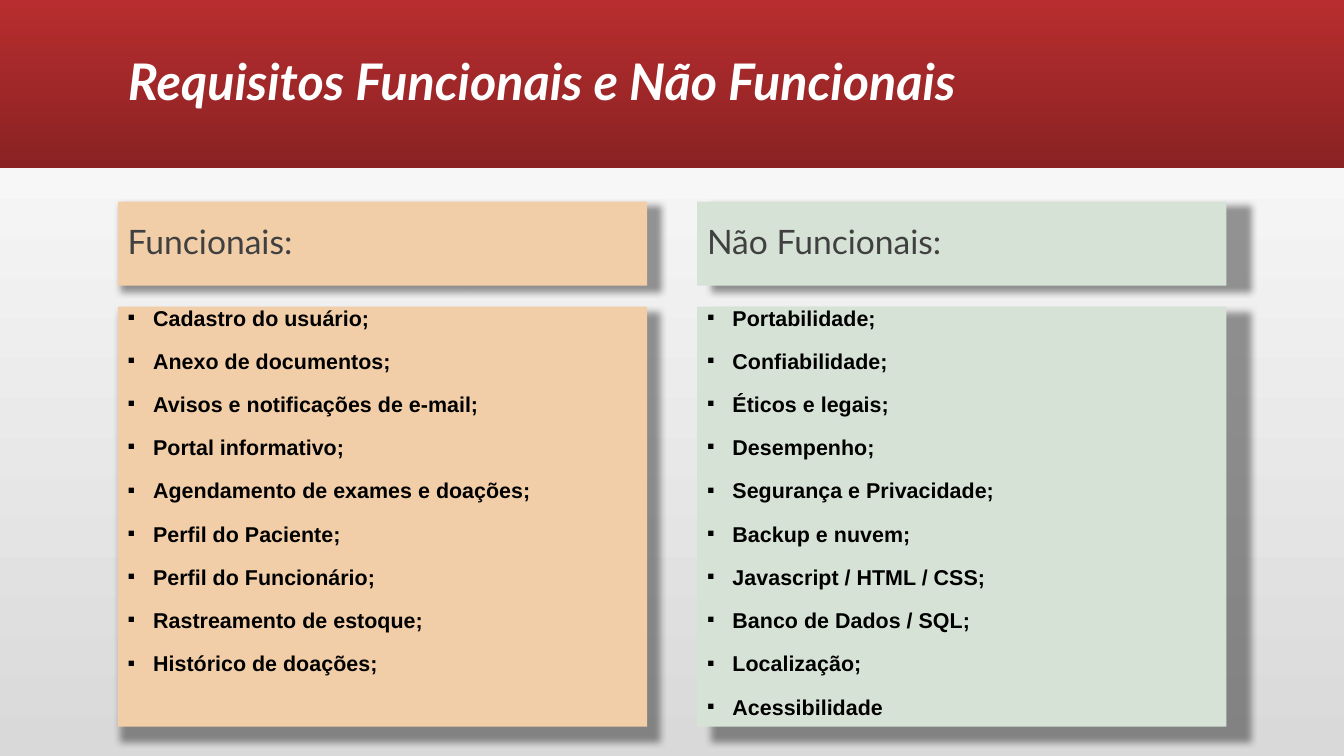
from math import atan2, degrees, hypot

from lxml import etree
from pptx import Presentation
from pptx.dml.color import RGBColor
from pptx.enum.shapes import MSO_SHAPE
from pptx.enum.text import MSO_ANCHOR, MSO_AUTO_SIZE, PP_ALIGN
from pptx.oxml.ns import qn
from pptx.util import Cm, Pt

RECTANGLE = MSO_SHAPE.RECTANGLE
TOP, MIDDLE = MSO_ANCHOR.TOP, MSO_ANCHOR.MIDDLE
LEFT = PP_ALIGN.LEFT
NO_AUTOFIT = MSO_AUTO_SIZE.NONE

WHITE = RGBColor(0xFF, 0xFF, 0xFF)
BLACK = RGBColor(0x00, 0x00, 0x00)
GREY = RGBColor(0xD9, 0xD9, 0xD9)
DARK_GREY = RGBColor(0x40, 0x40, 0x40)
RED = RGBColor(0xB8, 0x2D, 0x2F)
DARK_RED = RGBColor(0x8A, 0x22, 0x23)
PEACH = RGBColor(0xF1, 0xCE, 0xA8)
SAGE = RGBColor(0xD7, 0xE2, 0xD7)

WIDTH, HEIGHT = Cm(33.87), Cm(19.05)
MARGIN = Cm(2.97)
BAND_HEIGHT = Cm(4.23)
COLUMN_TOP, COLUMN_WIDTH, COLUMN_HEIGHT = Cm(5.08), Cm(13.34), Cm(13.23)
COLUMN_STEP = Cm(14.6)
HEADING_HEIGHT, HEADING_GAP = Cm(2.12), Cm(0.53)
BULLET_INDENT = Cm(0.64)
SHADOW_GROWTH = 0.02

COLUMNS = [
    ("Funcionais:", PEACH, [
        "Cadastro do usuário;",
        "Anexo de documentos;",
        "Avisos e notificações de e-mail;",
        "Portal informativo;",
        "Agendamento de exames e doações;",
        "Perfil do Paciente;",
        "Perfil do Funcionário;",
        "Rastreamento de estoque;",
        "Histórico de doações;",
    ]),
    ("Não Funcionais:", SAGE, [
        "Portabilidade;",
        "Confiabilidade;",
        "Éticos e legais;",
        "Desempenho;",
        "Segurança e Privacidade;",
        "Backup e nuvem;",
        "Javascript / HTML / CSS;",
        "Banco de Dados / SQL;",
        "Localização;",
        "Acessibilidade",
    ]),
]


def fill_gradient(fill, start, end, angle):
    fill.gradient()
    fill.gradient_angle = angle
    for stop, color in zip(fill.gradient_stops, (start, end)):
        stop.color.rgb = color


def add_bullet(p):
    pPr = p._p.get_or_add_pPr()
    pPr.set("marL", str(BULLET_INDENT))
    pPr.set("indent", str(-BULLET_INDENT))
    etree.SubElement(pPr, qn("a:buFont"), typeface="Arial")
    etree.SubElement(pPr, qn("a:buChar"), char="▪")


def write(sp, lines, *, size, color, font="Lato", bold=False, italic=False,
          anchor=MIDDLE, spacing=0.9, before=0, bullets=False):
    tf = sp.text_frame
    tf.word_wrap = True
    tf.auto_size = NO_AUTOFIT
    tf.vertical_anchor = anchor
    for i, line in enumerate(lines):
        p = tf.add_paragraph() if i else tf.paragraphs[0]
        p.alignment = LEFT
        p.line_spacing = spacing
        p.space_before = Pt(before)
        if bullets:
            add_bullet(p)
        r = p.add_run()
        r.text = line
        r.font.name = font
        r.font.size = Pt(size)
        r.font.bold = bold
        r.font.italic = italic
        r.font.color.rgb = color


def add_shadow(sp):
    sp.shadow.inherit = False
    dx = SHADOW_GROWTH * (sp.left + sp.width / 2)
    dy = SHADOW_GROWTH * (sp.top + sp.height / 2)
    scale = str(round(100000 * (1 + SHADOW_GROWTH)))
    effects = sp.element.spPr.find(qn("a:effectLst"))
    shadow = etree.SubElement(effects, qn("a:outerShdw"), blurRad=str(Pt(5)),
                              dist=str(round(hypot(dx, dy))),
                              dir=str(round(degrees(atan2(dy, dx)) * 60000)),
                              sx=scale, sy=scale, algn="ctr", rotWithShape="0")
    tint = etree.SubElement(shadow, qn("a:srgbClr"), val=str(BLACK))
    etree.SubElement(tint, qn("a:alpha"), val="40000")


def add_panel(s, left, top, width, height, color):
    sp = s.shapes.add_shape(RECTANGLE, left, top, width, height)
    sp.fill.solid()
    sp.fill.fore_color.rgb = color
    sp.line.fill.background()
    add_shadow(sp)
    return sp


def add_header(s, text, left, top, width, height):
    band = s.shapes.add_shape(RECTANGLE, left, top, width, height)
    band.shadow.inherit = False
    band.line.fill.background()
    fill_gradient(band.fill, RED, DARK_RED, 270)
    title = s.shapes.title
    title.element.addprevious(band.element)
    title.left, title.top = left + MARGIN, top + Cm(0.28)
    title.width, title.height = width - 2 * MARGIN, Cm(3.68)
    write(title, [text], size=36, color=WHITE, bold=True, italic=True)


def add_column(s, heading, color, items, left, top, width, height):
    head = add_panel(s, left, top, width, HEADING_HEIGHT, color)
    write(head, [heading], size=24, color=DARK_GREY, before=18)
    offset = HEADING_HEIGHT + HEADING_GAP
    body = add_panel(s, left, top + offset, width, height - offset, color)
    write(body, items, size=15.3, color=BLACK, font="Arial", bold=True,
          anchor=TOP, spacing=0.7, before=18, bullets=True)


def main():
    prs = Presentation()
    prs.slide_width, prs.slide_height = WIDTH, HEIGHT
    s = prs.slides.add_slide(prs.slide_layouts.get_by_name("Title Only"))
    fill_gradient(s.background.fill, GREY, WHITE, 90)
    add_header(s, "Requisitos Funcionais e Não Funcionais", 0, 0, WIDTH, BAND_HEIGHT)
    for i, (heading, color, items) in enumerate(COLUMNS):
        add_column(s, heading, color, items, MARGIN + i * COLUMN_STEP,
                   COLUMN_TOP, COLUMN_WIDTH, COLUMN_HEIGHT)
    prs.save("out.pptx")


if __name__ == "__main__":
    main()
